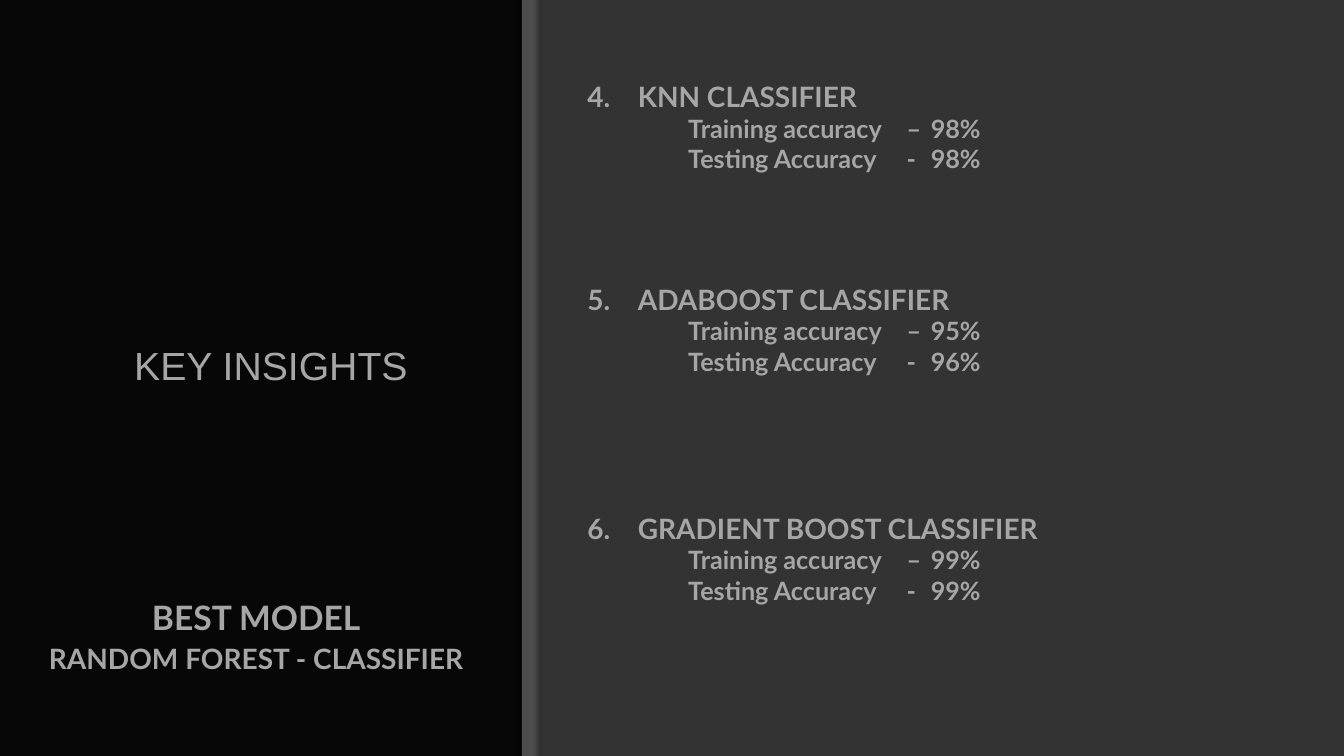
from dataclasses import dataclass

from lxml import etree
from pptx import Presentation
from pptx import util as u
from pptx.dml.color import RGBColor
from pptx.enum import shapes, text
from pptx.oxml import ns

PX = 9525  # 96 px to the inch


@dataclass(frozen=True)
class Theme:
    background: str = "070707"
    edge: str = "4D4D4D"
    panel: str = "333333"
    ink: str = "A6A6A6"
    title_font: str = "Arial"
    body_font: str = "Lato"
    title: int = 28
    banner: int = 24
    heading: int = 20
    body: int = 18


THEME = Theme()

MODELS = [
    (4, "KNN CLASSIFIER", "98%", "98%", 71),
    (5, "ADABOOST CLASSIFIER", "95%", "96%", 264),
    (6, "GRADIENT BOOST CLASSIFIER", "99%", "99%", 482),
]
METRIC_TABS = (96, 304, 327)


def px(*lengths):
    return [u.Emu(n * PX) for n in lengths]


def sub(parent, tag, **attrs):
    return etree.SubElement(parent, ns.qn(tag), {k: str(v) for k, v in attrs.items()})


def add_run(p, words, size, font=THEME.body_font, bold=True):
    r = p.add_run()
    r.text = words
    r.font.size = u.Pt(size)
    r.font.name = font
    r.font.bold = bold
    r.font.color.rgb = RGBColor.from_string(THEME.ink)


def add_text_box(s, box):
    tf = s.shapes.add_textbox(*px(*box)).text_frame
    tf.word_wrap = True
    return tf


def number_paragraph(p, start):
    indent = 48 * PX
    pPr = p._p.get_or_add_pPr()
    pPr.set("marL", str(indent))
    pPr.set("indent", str(-indent))
    sub(pPr, "a:buFont", typeface="+mj-lt")
    sub(pPr, "a:buAutoNum", type="arabicPeriod", startAt=start)


def set_tabs(p, stops):
    tabs = sub(p._p.get_or_add_pPr(), "a:tabLst")
    for stop in stops:
        sub(tabs, "a:tab", pos=stop * PX, algn="l")


def add_panel(s, box, color):
    """Add a plain rectangle that casts a soft shadow to its left."""
    sp = s.shapes.add_shape(shapes.MSO_SHAPE.RECTANGLE, *px(*box))
    sp.fill.solid()
    sp.fill.fore_color.rgb = RGBColor.from_string(color)
    sp.line.fill.background()
    sp.shadow.inherit = False
    effects = sp._element.spPr.find(ns.qn("a:effectLst"))
    shadow = sub(effects, "a:outerShdw", blurRad=u.Pt(4), dist=u.Pt(3),
                 dir=180 * 60000, algn="r", rotWithShape=0)
    sub(sub(shadow, "a:srgbClr", val="000000"), "a:alpha", val=40000)


def add_title(s, box, words):
    title = s.shapes.title
    title.left, title.top, title.width, title.height = px(*box)
    tf = title.text_frame
    tf.word_wrap = True
    tf.auto_size = text.MSO_AUTO_SIZE.NONE
    tf.vertical_anchor = text.MSO_ANCHOR.TOP
    p = tf.paragraphs[0]
    p.alignment = text.PP_ALIGN.CENTER
    add_run(p, words, THEME.title, THEME.title_font, bold=False)


def add_caption(s, box, words, size):
    p = add_text_box(s, box).paragraphs[0]
    p.alignment = text.PP_ALIGN.CENTER
    add_run(p, words, size)


def add_model(s, box, number, name, training, testing):
    tf = add_text_box(s, box)
    heading = tf.paragraphs[0]
    number_paragraph(heading, number)
    add_run(heading, name, THEME.heading)
    for label, dash, value in (("Training accuracy", "–", training),
                               ("Testing Accuracy", "-", testing)):
        p = tf.add_paragraph()
        set_tabs(p, METRIC_TABS)
        add_run(p, f"\t{label}\t{dash}\t{value}", THEME.body)


def add_summary(s, box):
    x, y, w, h = box
    add_title(s, (x + 20, y + 320, w - 20, 55), "KEY INSIGHTS")
    add_caption(s, (x, y + 564, w - 8, 46), "BEST MODEL", THEME.banner)
    add_caption(s, (x, y + 606, w - 8, 40), "RANDOM FOREST - CLASSIFIER", THEME.heading)


def add_results(s, box):
    x, y, w, h = box
    bleed = 48
    for inset, width, color in ((0, 864, THEME.edge), (19, 835, THEME.panel)):
        add_panel(s, (x + inset, y - bleed, width, h + 2 * bleed + 56), color)
    for number, name, training, testing, top in MODELS:
        add_model(s, (x + 53, y + top, w - 60, 130), number, name, training, testing)


def main():
    prs = Presentation()
    prs.slide_width, prs.slide_height = px(1280, 720)
    s = prs.slides.add_slide(prs.slide_layouts[5])
    s.background.fill.solid()
    s.background.fill.fore_color.rgb = RGBColor.from_string(THEME.background)
    add_results(s, (497, 0, 783, 720))
    add_summary(s, (0, 0, 496, 720))
    prs.save("out.pptx")


if __name__ == "__main__":
    main()
